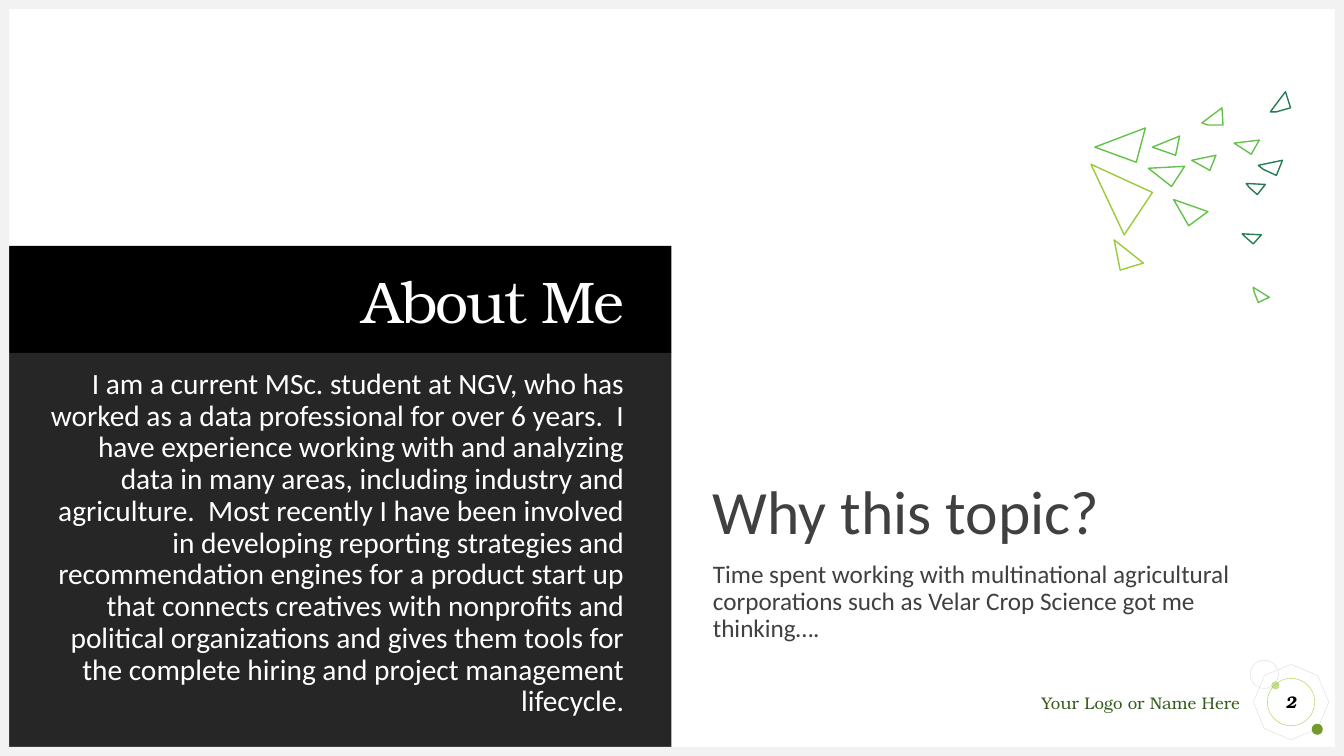
"""Build the "About Me" slide with its dark panels and triangle ornament."""
from dataclasses import dataclass
from typing import Optional

from lxml.etree import SubElement
from pptx import Presentation
from pptx.dml.color import RGBColor
from pptx.enum.shapes import MSO_SHAPE
from pptx.enum.text import MSO_ANCHOR, MSO_AUTO_SIZE, PP_ALIGN
from pptx.oxml.ns import qn
from pptx.util import Inches, Pt


@dataclass(frozen=True)
class Theme:
    serif: str = "TeX Gyre Bonum"
    sans: str = "Calibri"
    white: str = "FFFFFF"
    black: str = "000000"
    panel: str = "262626"
    ink: str = "404040"
    frame: str = "F2F2F2"
    grey: str = "D9D9D9"
    lime: str = "9ACB39"
    green: str = "64C24A"
    teal: str = "297D53"
    pale: str = "C2E088"
    olive: str = "749A29"
    footer: str = "375C1E"
    title_size: float = 42
    heading_size: float = 44
    about_size: float = 21
    reason_size: float = 18
    small_size: float = 12


@dataclass(frozen=True)
class Box:
    left: float
    top: float
    width: float
    height: float

    def emu(self) -> tuple:
        return tuple(Inches(v) for v in (self.left, self.top, self.width, self.height))


@dataclass(frozen=True)
class Decor:
    kind: MSO_SHAPE
    box: Box
    fill: Optional[str] = None
    line: Optional[str] = None
    rotation: float = 0


@dataclass(frozen=True)
class Outline:
    color: str
    points: tuple


T = Theme()
W, H, EDGE = 13.33, 7.5, 0.09

ABOUT = (
    "I am a current MSc. student at NGV, who has worked as a data professional for over "
    "6 years.  I have experience working with and analyzing data in many areas, including "
    "industry and agriculture.  Most recently I have been involved in developing reporting "
    "strategies and recommendation engines for a product start up that connects creatives "
    "with nonprofits and political organizations and gives them tools for the complete "
    "hiring and project management lifecycle."
)
REASON = (
    "Time spent working with multinational agricultural corporations such as "
    "Velar Crop Science got me thinking…."
)

FRAME = [
    Decor(MSO_SHAPE.RECTANGLE, box, fill=T.frame)
    for box in (
        Box(0, 0, W, EDGE),
        Box(0, H - EDGE, W, EDGE),
        Box(0, 0, EDGE, H),
        Box(W - EDGE, 0, EDGE, H),
    )
]
BADGE = [
    Decor(MSO_SHAPE.OCTAGON, Box(12.46, 6.62, 0.69, 0.69), line=T.grey, rotation=22.7),
    Decor(MSO_SHAPE.OVAL, Box(12.61, 6.76, 0.08, 0.08), fill=T.pale),
    Decor(MSO_SHAPE.OVAL, Box(13.01, 7.18, 0.11, 0.11), fill=T.olive),
    Decor(MSO_SHAPE.OVAL, Box(12.4, 6.55, 0.28, 0.28), line=T.grey),
]
PAGE_RING = Decor(MSO_SHAPE.OVAL, Box(12.57, 6.73, 0.47, 0.47), line=T.lime)

TRIANGLES = [
    Outline(T.green, ((11.36, 1.27), (11.27, 1.61), (10.86, 1.46))),
    Outline(T.green, ((11.75, 1.65), (11.62, 1.85), (11.39, 1.67))),
    Outline(T.green, ((11.7, 1.35), (11.66, 1.54), (11.43, 1.46))),
    Outline(T.green, ((12.06, 1.54), (12, 1.69), (11.82, 1.59))),
    Outline(T.green, ((12.12, 1.07), (12.13, 1.24), (11.98, 1.24), (11.92, 1.22))),
    Outline(T.teal, ((12.55, 1.83), (12.47, 1.93), (12.39, 1.86), (12.36, 1.82))),
    Outline(T.teal, ((12.75, 0.91), (12.8, 1.07), (12.66, 1.11), (12.6, 1.11))),
    Outline(T.green, ((12.49, 1.39), (12.41, 1.53), (12.24, 1.42))),
    Outline(T.teal, ((12.72, 1.59), (12.66, 1.74), (12.53, 1.68), (12.48, 1.64))),
    Outline(T.lime, ((11.43, 1.91), (11.15, 2.33), (10.82, 1.63))),
    Outline(T.green, ((11.98, 2.1), (11.79, 2.24), (11.64, 1.98))),
    Outline(T.teal, ((12.51, 2.33), (12.43, 2.42), (12.35, 2.35), (12.32, 2.32))),
    Outline(T.lime, ((11.34, 2.61), (11.11, 2.68), (11.05, 2.38))),
    Outline(T.green, ((12.59, 2.95), (12.48, 3), (12.44, 2.9), (12.43, 2.85))),
]


def paint(sp, fill: Optional[str], line: Optional[str], width: float) -> None:
    sp.shadow.inherit = False
    if fill:
        sp.fill.solid()
        sp.fill.fore_color.rgb = RGBColor.from_string(fill)
    else:
        sp.fill.background()
    if line:
        sp.line.color.rgb = RGBColor.from_string(line)
        sp.line.width = Pt(width)
    else:
        sp.line.fill.background()


def draw_decor(s, decor: Decor):
    sp = s.shapes.add_shape(decor.kind, *decor.box.emu())
    sp.rotation = decor.rotation
    paint(sp, decor.fill, decor.line, 0.25)
    return sp


def draw_outline(s, outline: Outline) -> None:
    points = [(Inches(x), Inches(y)) for x, y in outline.points]
    builder = s.shapes.build_freeform(*points[0])
    builder.add_line_segments(points[1:], close=True)
    paint(builder.convert_to_shape(), None, outline.color, 1)


def set_frame(tf, anchor: MSO_ANCHOR, insets: tuple = (0, 0, 0, 0)) -> None:
    tf.word_wrap = True
    tf.auto_size = MSO_AUTO_SIZE.NONE
    tf.vertical_anchor = anchor
    tf.margin_left, tf.margin_top, tf.margin_right, tf.margin_bottom = map(Inches, insets)


def style(p, font: str, size: float, color: str, align: PP_ALIGN) -> None:
    p.alignment = align
    for r in p.runs:
        r.font.name = font
        r.font.size = Pt(size)
        r.font.color.rgb = RGBColor.from_string(color)


def place(sp, box: Box) -> None:
    sp.left, sp.top, sp.width, sp.height = box.emu()


def plain_list(p) -> None:
    p.line_spacing = 0.9
    p.space_before = Pt(10)
    pPr = p._p.get_or_add_pPr()
    pPr.set("marL", "0")
    pPr.set("indent", "0")
    SubElement(pPr, qn("a:buNone"))


def fill_placeholders(s) -> None:
    title, about, topic = s.placeholders
    place(title, Box(EDGE, 2.44, 6.57, 1.06))
    place(about, Box(EDGE, 3.5, 6.57, 3.91))
    place(topic, Box(7.07, 1.26, 5.8, 5.12))
    for sp, fill in ((title, T.black), (about, T.panel)):
        sp.fill.solid()
        sp.fill.fore_color.rgb = RGBColor.from_string(fill)

    set_frame(title.text_frame, MSO_ANCHOR.BOTTOM, (0.31, 0, 0.47, 0.16))
    title.text_frame.text = "About Me"
    p = title.text_frame.paragraphs[0]
    p.line_spacing = 0.9
    style(p, T.serif, T.title_size, T.white, PP_ALIGN.RIGHT)
    p.runs[0].font._element.set("spc", "-150")

    set_frame(about.text_frame, MSO_ANCHOR.TOP, (0.31, 0.16, 0.47, 0))
    about.text_frame.text = ABOUT
    p = about.text_frame.paragraphs[0]
    plain_list(p)
    style(p, T.sans, T.about_size, T.white, PP_ALIGN.RIGHT)

    set_frame(topic.text_frame, MSO_ANCHOR.BOTTOM)
    topic.text_frame.text = f"Why this topic?\n{REASON}"
    for p, size in zip(topic.text_frame.paragraphs, (T.heading_size, T.reason_size)):
        plain_list(p)
        style(p, T.sans, size, T.ink, PP_ALIGN.LEFT)


def draw_footer(s) -> None:
    tf = s.shapes.add_textbox(*Box(9.55, 6.87, 2.75, 0.2).emu()).text_frame
    set_frame(tf, MSO_ANCHOR.TOP)
    tf.text = "Your Logo or Name Here"
    style(tf.paragraphs[0], T.serif, T.small_size, T.footer, PP_ALIGN.RIGHT)

    tf = draw_decor(s, PAGE_RING).text_frame
    set_frame(tf, MSO_ANCHOR.MIDDLE)
    tf.text = "2"
    p = tf.paragraphs[0]
    style(p, T.serif, T.small_size, T.black, PP_ALIGN.CENTER)
    p.runs[0].font.bold = p.runs[0].font.italic = True


def main() -> None:
    prs = Presentation()
    prs.slide_width, prs.slide_height = Inches(W), Inches(H)
    s = prs.slides.add_slide(prs.slide_layouts[3])
    fill_placeholders(s)
    for decor in BADGE + FRAME:
        draw_decor(s, decor)
    for outline in TRIANGLES:
        draw_outline(s, outline)
    draw_footer(s)
    prs.save("out.pptx")


if __name__ == "__main__":
    main()
